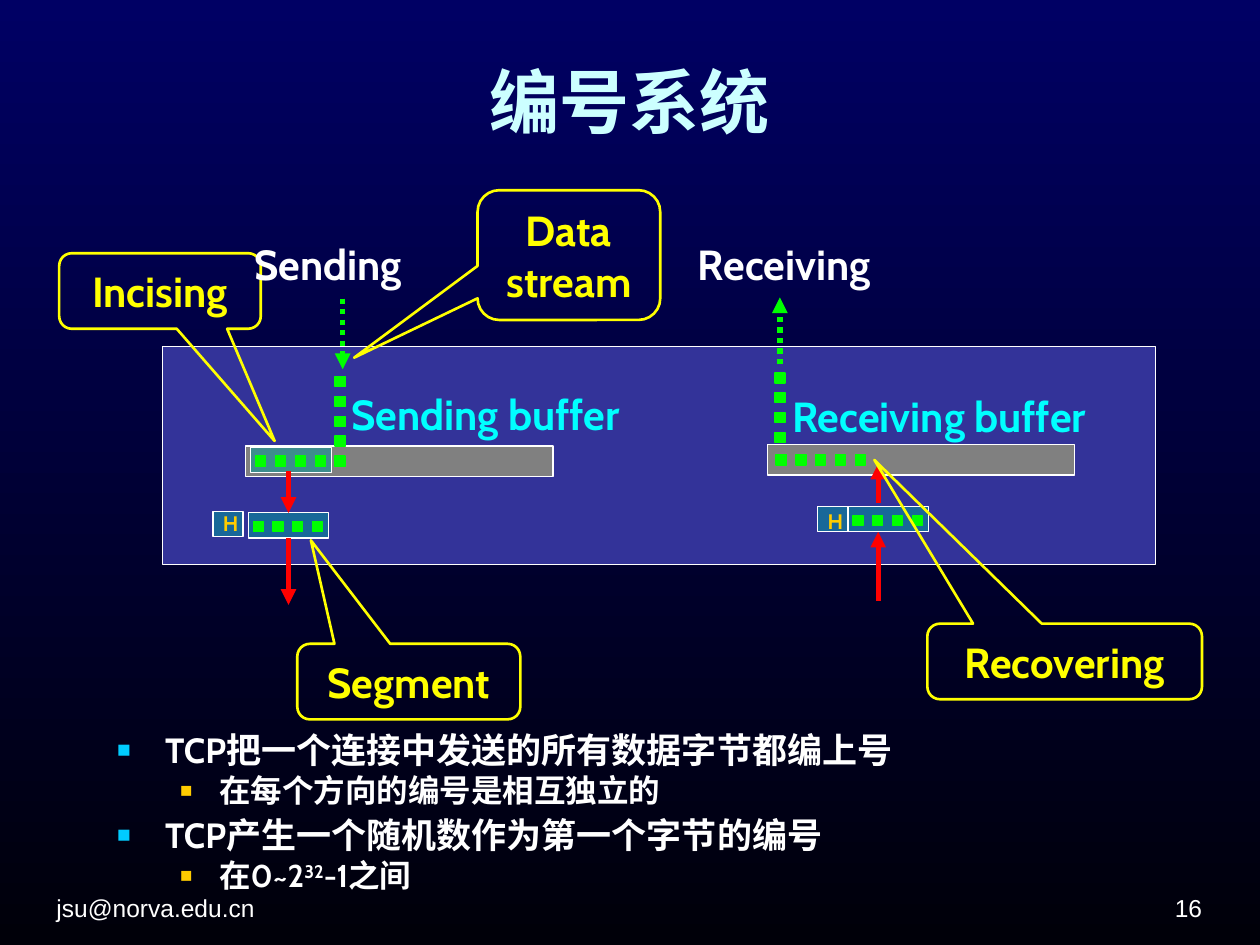
from dataclasses import dataclass
from typing import Optional

from lxml import etree
from pptx import Presentation
from pptx.dml.color import RGBColor
from pptx.enum.dml import MSO_LINE
from pptx.enum.shapes import MSO_CONNECTOR, MSO_SHAPE
from pptx.enum.text import MSO_ANCHOR, MSO_AUTO_SIZE, PP_ALIGN
from pptx.oxml.ns import qn
from pptx.util import Inches, Pt

RECTANGLE = MSO_SHAPE.RECTANGLE
CALLOUT_SHAPE = MSO_SHAPE.ROUNDED_RECTANGULAR_CALLOUT
STRAIGHT = MSO_CONNECTOR.STRAIGHT
DOTTED = MSO_LINE.ROUND_DOT
LEFT, CENTER, RIGHT = PP_ALIGN.LEFT, PP_ALIGN.CENTER, PP_ALIGN.RIGHT
TOP, MIDDLE, BOTTOM = MSO_ANCHOR.TOP, MSO_ANCHOR.MIDDLE, MSO_ANCHOR.BOTTOM
FIT_SHAPE, NO_FIT = MSO_AUTO_SIZE.SHAPE_TO_FIT_TEXT, MSO_AUTO_SIZE.NONE
TOP_SITE, BOTTOM_SITE = 0, 2

NAVY = RGBColor(0x00, 0x00, 0x64)
NIGHT = RGBColor(0x00, 0x00, 0x09)
PALE_CYAN = RGBColor(0xCC, 0xFF, 0xFF)
INDIGO = RGBColor(0x33, 0x33, 0x99)
GRAY = RGBColor(0x80, 0x80, 0x80)
WHITE = RGBColor(0xFF, 0xFF, 0xFF)
GREEN = RGBColor(0x00, 0xFF, 0x00)
RED = RGBColor(0xFF, 0x00, 0x00)
TEAL = RGBColor(0x00, 0x99, 0x99)
YELLOW = RGBColor(0xFF, 0xFF, 0x00)
CYAN = RGBColor(0x00, 0xFF, 0xFF)
GOLD = RGBColor(0xFF, 0xCC, 0x00)
SKY = RGBColor(0x00, 0xCC, 0xFF)

BYTE_SIZE = 0.08
BYTE_PITCH = 0.157


@dataclass
class Label:
    text: str
    box: tuple
    color: RGBColor = WHITE
    size: int = 24
    font: str = "Cabin"
    bold: bool = True
    align: PP_ALIGN = LEFT
    anchor: MSO_ANCHOR = MIDDLE
    insets: tuple = (0.08, 0.08)
    wrap: bool = False
    fit: MSO_AUTO_SIZE = FIT_SHAPE


@dataclass
class Callout:
    label: Label
    pointer: tuple


@dataclass
class Arrow:
    start: tuple
    end: tuple
    color: RGBColor = RED
    dash: Optional[MSO_LINE] = None


@dataclass
class Bullet:
    runs: tuple
    level: int = 0


@dataclass
class BulletStyle:
    size: int
    color: RGBColor
    space_before: float
    margin: float
    indent: float


def footer(text: str, left: float, align: PP_ALIGN) -> Label:
    return Label(text, (left, 6.9, 2.33, 0.47), WHITE, 14, "Arial", False, align,
                 BOTTOM, (0.1, 0.05), True, NO_FIT)


def header_letter(left: float, top: float) -> Label:
    return Label("H", (left, top, 0.34, 0.3), GOLD, 12, anchor=TOP,
                 insets=(0.1, 0.05), wrap=True)


def callout(text: str, box: tuple, pointer: tuple) -> Callout:
    return Callout(Label(text, box, YELLOW, align=CENTER), pointer)


BYTE_ROWS = [(6.16, 3.61, 5), (2.03, 3.62, 5), (6.77, 4.09, 4), (2.01, 4.14, 4)]
BYTE_COLUMNS = [(6.15, 2.96, 4), (2.66, 2.99, 4)]
BUFFERS = [(6.09, 3.53, 2.44, 0.24), (1.95, 3.54, 2.44, 0.24)]
SENT_SEGMENT = (1.97, 4.07, 0.64, 0.2)
SEGMENT_PARTS = [(1.99, 3.55, 0.64, 0.2), (6.73, 4.02, 0.64, 0.2),
                 (1.69, 4.06, 0.24, 0.2), (6.49, 4.02, 0.24, 0.2)]
ARROWS = [
    Arrow((6.19, 2.89), (6.19, 2.36), GREEN, DOTTED),
    Arrow((2.72, 2.37), (2.72, 2.93), GREEN, DOTTED),
    Arrow((6.97, 3.99), (6.97, 3.68)),
    Arrow((6.97, 4.77), (6.97, 4.22)),
]
ARROW_INTO_SEGMENT = Arrow((2.29, 3.74), (2.29, 4.07))
ARROW_OUT_OF_SEGMENT = Arrow((2.29, 4.27), (2.29, 4.8))
CALLOUTS = [
    callout("Incising", (0.47, 2.01, 1.6, 0.6), (0.569, 1.985)),
    callout("Segment", (2.36, 5.11, 1.77, 0.6), (-0.439, -1.869)),
    callout("Data\nstream", (3.79, 1.51, 1.45, 1.03), (-1.176, 0.791)),
    callout("Recovering", (7.36, 4.95, 2.18, 0.6), (-0.693, -2.666)),
]
LABELS = [
    Label("Sending", (1.94, 1.81, 1.5, 0.56)),
    Label("Receiving", (5.46, 1.81, 1.77, 0.56)),
    Label("Sending buffer", (2.71, 3, 2.62, 0.56), CYAN),
    Label("Receiving buffer", (6.21, 3.02, 2.89, 0.56), CYAN),
    header_letter(1.67, 4),
    header_letter(6.47, 3.99),
    footer("jsu@norva.edu.cn", 0.35, LEFT),
    footer("16", 7.31, RIGHT),
]
TITLE = Label("编号系统", (0.35, 0.13, 9.29, 1.34), PALE_CYAN, 40, "Karla", align=CENTER,
              insets=(0.1, 0.05), wrap=True, fit=NO_FIT)
BULLET_BOX = (0.83, 5.8, 7.95, 1.26)
BULLET_STYLES = [BulletStyle(20, SKY, 7.5, 0.38, -0.38),
                 BulletStyle(18, GOLD, 4.5, 0.81, -0.31)]
BULLETS = [
    Bullet(("TCP把一个连接中发送的所有数据字节都编上号",)),
    Bullet(("在每个方向的编号是相互独立的",), 1),
    Bullet(("TCP产生一个随机数作为第一个字节的编号",)),
    Bullet(("在0~2", "32", "-1之间"), 1),
]


def inches(values: tuple) -> list:
    return [Inches(value) for value in values]


def place(shape, box: tuple) -> None:
    shape.left, shape.top, shape.width, shape.height = inches(box)


def set_font(paragraph, label: Label) -> None:
    font = paragraph.font
    font.name, font.size, font.bold = label.font, Pt(label.size), label.bold
    font.color.rgb = label.color


def write_text(shape, label: Label) -> None:
    frame = shape.text_frame
    frame.text = label.text
    frame.word_wrap, frame.auto_size = label.wrap, label.fit
    frame.vertical_anchor = label.anchor
    horizontal, vertical = inches(label.insets)
    frame.margin_left = frame.margin_right = horizontal
    frame.margin_top = frame.margin_bottom = vertical
    for paragraph in frame.paragraphs:
        paragraph.alignment = label.align
        set_font(paragraph, label)


def add_rectangle(slide, box: tuple, fill: RGBColor, line: RGBColor = WHITE):
    shape = slide.shapes.add_shape(RECTANGLE, *inches(box))
    shape.shadow.inherit = False
    shape.fill.solid()
    shape.fill.fore_color.rgb = fill
    shape.line.color.rgb = line
    shape.line.width = Pt(0.75)
    return shape


def add_segment_part(slide, box: tuple):
    shape = add_rectangle(slide, box, TEAL)
    color = shape.fill._xPr.find(f".//{qn('a:srgbClr')}")
    etree.SubElement(color, qn("a:alpha"), val="52000")
    return shape


def add_bytes(slide, left: float, top: float, count: int, step: tuple) -> None:
    for index in range(count):
        box = (left + index * step[0], top + index * step[1], BYTE_SIZE, BYTE_SIZE)
        add_rectangle(slide, box, GREEN, GREEN)


def add_arrow(slide, arrow: Arrow):
    connector = slide.shapes.add_connector(STRAIGHT, *inches(arrow.start + arrow.end))
    connector.line.color.rgb = arrow.color
    connector.line.width = Pt(3)
    if arrow.dash is not None:
        connector.line.dash_style = arrow.dash
    etree.SubElement(connector.line._get_or_add_ln(), qn("a:tailEnd"), type="triangle")
    etree.SubElement(connector._element.spPr, qn("a:effectLst"))
    return connector


def add_callout(slide, item: Callout) -> None:
    shape = slide.shapes.add_shape(CALLOUT_SHAPE, *inches(item.label.box))
    shape.shadow.inherit = False
    shape.adjustments[0], shape.adjustments[1] = item.pointer
    shape.fill.background()
    shape.line.color.rgb = YELLOW
    shape.line.width = Pt(1.5)
    write_text(shape, item.label)


def add_bullet(paragraph, bullet: Bullet) -> None:
    style = BULLET_STYLES[bullet.level]
    paragraph.level = bullet.level
    paragraph.line_spacing = 0.8
    paragraph.space_before = Pt(style.space_before)
    set_font(paragraph, Label("", BULLET_BOX, size=style.size))
    for index, text in enumerate(bullet.runs):
        run = paragraph.add_run()
        run.text = text
        if index == 1:
            run._r.get_or_add_rPr().set("baseline", "30000")
    properties = paragraph._p.get_or_add_pPr()
    properties.set("marL", str(Inches(style.margin)))
    properties.set("indent", str(Inches(style.indent)))
    marker = etree.Element(qn("a:buClr"))
    etree.SubElement(marker, qn("a:srgbClr"), val=str(style.color))
    size = etree.Element(qn("a:buSzPct"), val="65000")
    character = etree.Element(qn("a:buChar"), char="■")
    position = properties.index(properties.find(qn("a:defRPr")))
    properties[position:position] = [marker, size, character]


def main() -> None:
    presentation = Presentation()
    presentation.slide_width, presentation.slide_height = Inches(10), Inches(7.5)
    slide = presentation.slides.add_slide(presentation.slide_layouts[1])
    background = slide.background.fill
    background.gradient()
    background.gradient_angle = 270
    for stop, color in zip(background.gradient_stops, (NAVY, NIGHT)):
        stop.color.rgb = color

    place(slide.shapes.title, TITLE.box)
    write_text(slide.shapes.title, TITLE)
    body = slide.placeholders[1]
    place(body, BULLET_BOX)
    body.text_frame.auto_size = NO_FIT
    for index, bullet in enumerate(BULLETS):
        frame = body.text_frame
        add_bullet(frame.add_paragraph() if index else frame.paragraphs[0], bullet)

    add_rectangle(slide, (1.29, 2.75, 7.88, 1.73), INDIGO)
    for box in BUFFERS:
        add_rectangle(slide, box, GRAY)
    for arrow in ARROWS:
        add_arrow(slide, arrow)
    for box in SEGMENT_PARTS:
        add_segment_part(slide, box)
    sent_segment = add_segment_part(slide, SENT_SEGMENT)
    add_arrow(slide, ARROW_INTO_SEGMENT).end_connect(sent_segment, TOP_SITE)
    add_arrow(slide, ARROW_OUT_OF_SEGMENT).begin_connect(sent_segment, BOTTOM_SITE)
    for row in BYTE_ROWS:
        add_bytes(slide, *row, (BYTE_PITCH, 0))
    for column in BYTE_COLUMNS:
        add_bytes(slide, *column, (0, BYTE_PITCH))
    for item in CALLOUTS:
        add_callout(slide, item)
    for label in LABELS:
        write_text(slide.shapes.add_textbox(*inches(label.box)), label)
    presentation.save("out.pptx")


if __name__ == "__main__":
    main()
